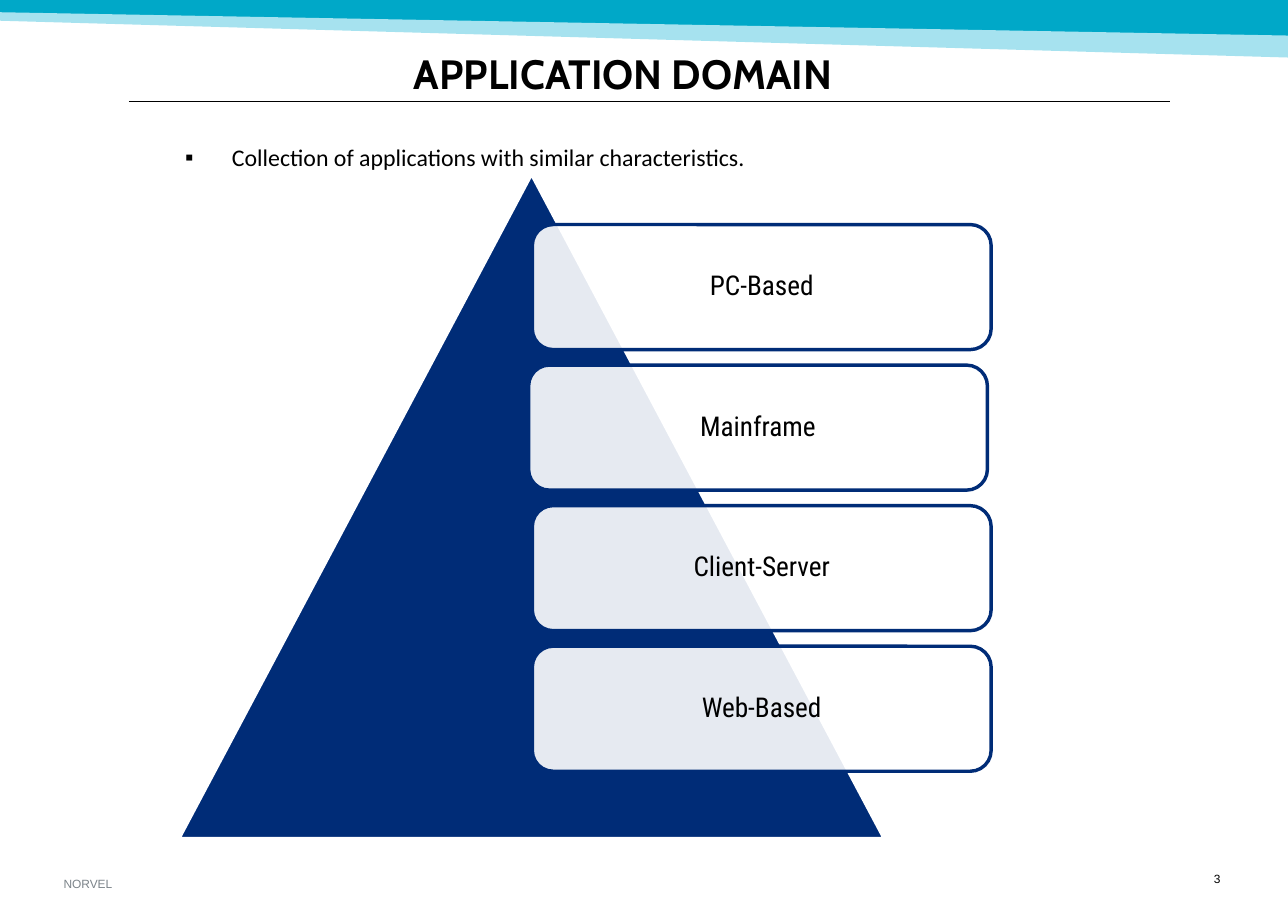
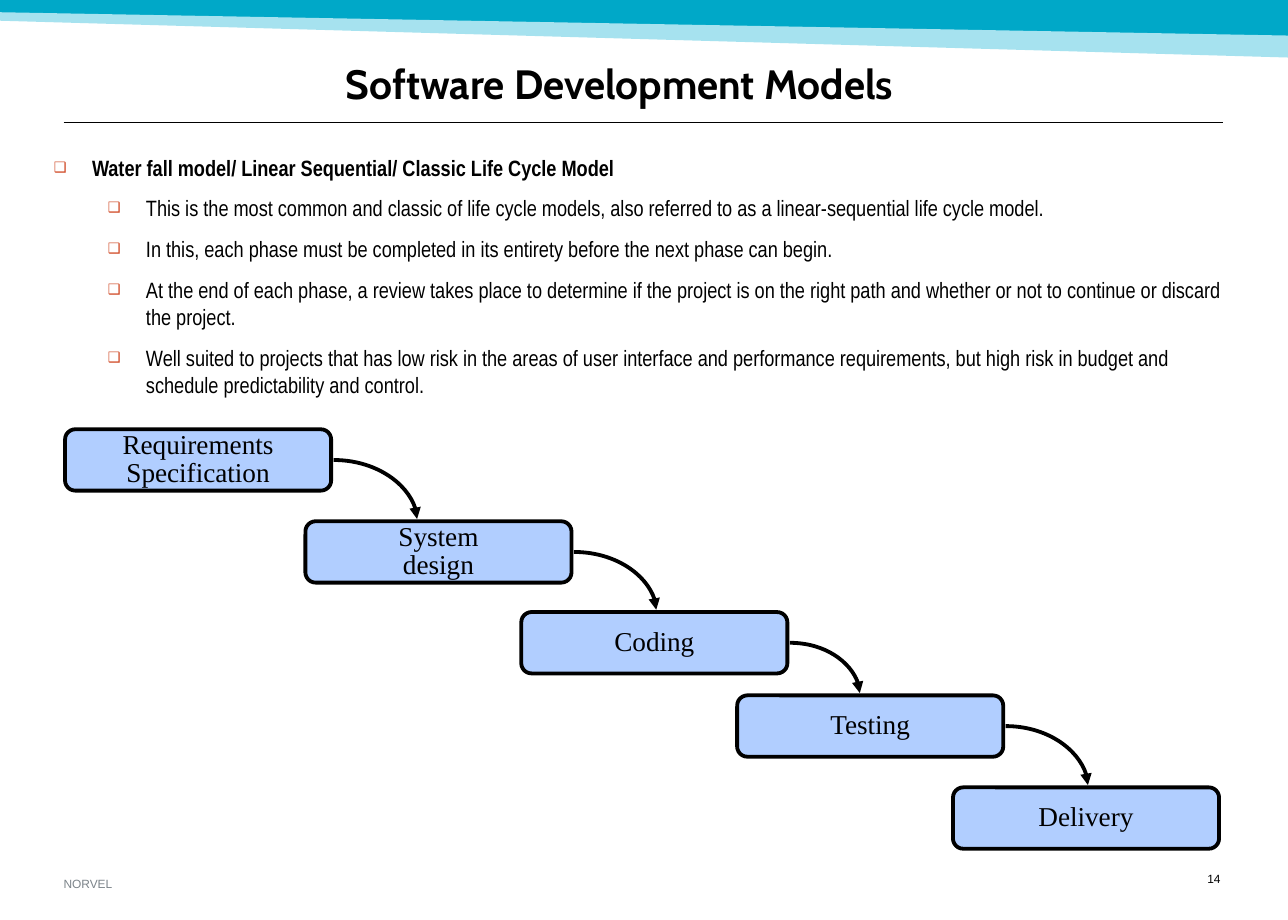
import pptx
import pptx.util
import pptx.dml.color
import pptx.enum.shapes
import pptx.enum.text
import pptx.oxml
import pptx.oxml.ns

Pt = pptx.util.Pt
KIND = pptx.enum.shapes.MSO_SHAPE
LINK = pptx.enum.shapes.MSO_CONNECTOR
ALIGN = pptx.enum.text.PP_ALIGN
ANCHOR = pptx.enum.text.MSO_ANCHOR
qn = pptx.oxml.ns.qn

# Shared style
WIDE, HIGH = 756, 540
HUE = {"black": "000000", "white": "FFFFFF", "navy": "002C77", "teal": "00A8C8",
       "aqua": "A6E2EF", "grey": "7C848A", "red": "CF4520", "sky": "B1CEFF"}
BANDS = [("teal", [(0, 0), (WIDE, 0), (WIDE, 23), (0, 8.6)]),
         ("aqua", [(0, 7.2), (WIDE, 20.9), (WIDE, 33.8), (0, 12.2)])]
OWNER = "NORVEL"

# Content: title, title box, rule (left, right, height), page number
DOMAIN = ("APPLICATION DOMAIN", (75.6, 36, 586, 21.6), (75.6, 686.9, 59.8), "3")
MODELS = ("Software Development Models", (38.2, 20.9, 656.6, 42.5), (37.4, 717.8, 72), "14")

LEAD = "Collection of applications with similar characteristics."
# Label and sideways shift
TYPES = [("PC-Based", 0), ("Mainframe", -2.2), ("Client-Server", 0), ("Web-Based", 0)]

HEAD = "Water fall model/ Linear Sequential/ Classic Life Cycle Model"
POINTS = [
    "This is the most common and classic of life cycle models, also referred to as a "
    "linear-sequential life cycle model.",
    "In this, each phase must be completed in its entirety before the next phase can begin.",
    "At the end of each phase, a review takes place to determine if the project is on the "
    "right path and whether or not to continue or discard the project.",
    "Well suited to projects that has low risk in the areas of user interface and "
    "performance requirements, but high risk in budget and schedule predictability and control.",
]
# Label, left, top, x where the arrow into the phase lands
PHASES = [("Requirements\nSpecification", 38.2, 252, None), ("System\ndesign", 179.3, 306, 244.8),
          ("Coding", 306, 359.3, 385.2), ("Testing", 432.7, 408.2, 504.7),
          ("Delivery", 559.4, 462.2, 638.6)]


def tint(name):
    return pptx.dml.color.RGBColor.from_string(HUE[name])


def child(node, tag, **attrs):
    part = pptx.oxml.parse_xml(f"<a:{tag} {pptx.oxml.ns.nsdecls('a')}/>")
    for key, value in attrs.items():
        part.set(key, value)
    node.append(part)
    return part


def paint(shape, fill, line=None, size=2):
    shape.shadow.inherit = False
    shape.fill.solid()
    shape.fill.fore_color.rgb = tint(fill)
    if line:
        shape.line.color.rgb = tint(line)
        shape.line.width = Pt(size)
    else:
        shape.line.fill.background()


def setup(shape, anchor, pads, wrap=True):
    frame = shape.text_frame
    frame.word_wrap, frame.vertical_anchor = wrap, anchor
    (frame.margin_left, frame.margin_top,
     frame.margin_right, frame.margin_bottom) = map(Pt, pads)
    return frame


def write(para, text, font, size, color="black", bold=False, align=ALIGN.LEFT, lead=None):
    para.alignment = align
    if lead:
        para.line_spacing = lead
    for row, words in enumerate(text.split("\n")):
        if row:
            para.add_line_break()
        run = para.add_run()
        run.text = words
        run.font.name, run.font.size, run.font.bold = font, Pt(size), bold
        run.font.color.rgb = tint(color)


def bullet(para, mark, left, hang, color=None, scale=None):
    props = para._p.get_or_add_pPr()
    props.set("marL", str(Pt(left)))
    props.set("indent", str(-Pt(hang)))
    if color:
        child(child(props, "buClr"), "srgbClr", val=HUE[color])
    if scale:
        child(props, "buSzPct", val=str(scale * 1000))
    child(props, "buFont", typeface="Arial")
    child(props, "buChar", char=mark)


def box(slide, place, anchor=ANCHOR.TOP, pads=(0, 0, 0, 0)):
    return setup(slide.shapes.add_textbox(*map(Pt, place)), anchor, pads)


def link(slide, kind, ends, size):
    line = slide.shapes.add_connector(kind, *map(Pt, ends))
    line.line.color.rgb = tint("black")
    line.line.width = Pt(size)
    child(line._element.spPr, "effectLst")
    return line


def base(deck, title, place, rule, page):
    """Add a slide with bands, footer, rule and title."""
    slide = deck.slides.add_slide(deck.slide_layouts[6])
    for color, dots in BANDS:
        dots = [(Pt(x), Pt(y)) for x, y in dots]
        form = slide.shapes.build_freeform(*dots[0], scale=1.0)
        form.add_line_segments(dots[1:], close=True)
        paint(form.convert_to_shape(), color)
    foot = box(slide, (37.4, 514.8, 227.5, 7.9), ANCHOR.BOTTOM)
    write(foot.paragraphs[0], OWNER, "Arial", 7, "grey")
    num = box(slide, (691.2, 512.6, 25.2, 12.2))
    write(num.paragraphs[0], page, "Arial", 7, align=ALIGN.RIGHT, lead=0.86)
    left, right, y = rule
    link(slide, LINK.STRAIGHT, (left, y, right, y), 0.5)
    top = box(slide, place, ANCHOR.BOTTOM, (0, 0, 5.8, 0))
    write(top.paragraphs[0], title, "Cabin", 24, bold=True, align=ALIGN.CENTER, lead=Pt(22))
    return slide


def domain(deck):
    slide = base(deck, *DOMAIN)
    # Pyramid with a list over it
    peak = slide.shapes.add_shape(KIND.ISOSCELES_TRIANGLE, *map(Pt, (105, 102.2, 414, 390)))
    paint(peak, "navy", "white")
    for row, (label, shift) in enumerate(TYPES):
        place = (312.5 + shift, 131.8 + 82.5 * row, 269.3, 73.4)
        card = slide.shapes.add_shape(KIND.ROUNDED_RECTANGLE, *map(Pt, place))
        paint(card, "white", "navy")
        child(card._element.spPr.find(qn("a:solidFill"))[0], "alpha", val="90000")
        frame = setup(card, ANCHOR.MIDDLE, (5, 5, 5, 5))
        write(frame.paragraphs[0], label, "Roboto Condensed", 16, align=ALIGN.CENTER, lead=0.9)
    # Lead sentence
    para = box(slide, (108.7, 77.8, 400, 27), pads=(0, 3.6, 0, 3.6)).paragraphs[0]
    write(para, LEAD, "Calibri", 14, lead=1.15)
    bullet(para, "▪", 27.4, 27.4)


def models(deck):
    slide = base(deck, *MODELS)
    # Bulleted text
    frame = box(slide, (31.7, 90, 694.8, 200))
    for row, text in enumerate([HEAD] + POINTS):
        para = frame.add_paragraph() if row else frame.paragraphs[0]
        para.level = 1 if row else 0
        para.space_before = Pt(8)
        write(para, text, "Arial Narrow", 13, bold=not row, lead=Pt(16))
        bullet(para, "❑", 54 if row else 22.3, 22.3, "red", 65)
    # Phases stepping down
    wide, high, gap = 156.2, 36, 1.4
    for label, left, top, _ in PHASES:
        step = slide.shapes.add_shape(KIND.ROUNDED_RECTANGLE, *map(Pt, (left, top, wide, high)))
        paint(step, "sky", "black", 2.25)
        frame = setup(step, ANCHOR.MIDDLE, (7.2, 3.6, 7.2, 3.6), wrap=False)
        write(frame.paragraphs[0], label, "Times New Roman", 16, align=ALIGN.CENTER, lead=0.86)
    # Curved arrows from each phase to the next
    for (_, left, top, _), (_, _, below, land) in zip(PHASES, PHASES[1:]):
        ends = (left + wide + gap, top + high / 2, land, below - gap)
        bend = link(slide, LINK.CURVE, ends, 2.25)
        bend._element.spPr.find(qn("a:prstGeom")).set("prst", "curvedConnector2")
        child(bend.line._get_or_add_ln(), "tailEnd", type="triangle")


def main():
    deck = pptx.Presentation()
    deck.slide_width, deck.slide_height = Pt(WIDE), Pt(HIGH)
    domain(deck)
    models(deck)
    deck.save("out.pptx")


if __name__ == "__main__":
    main()
